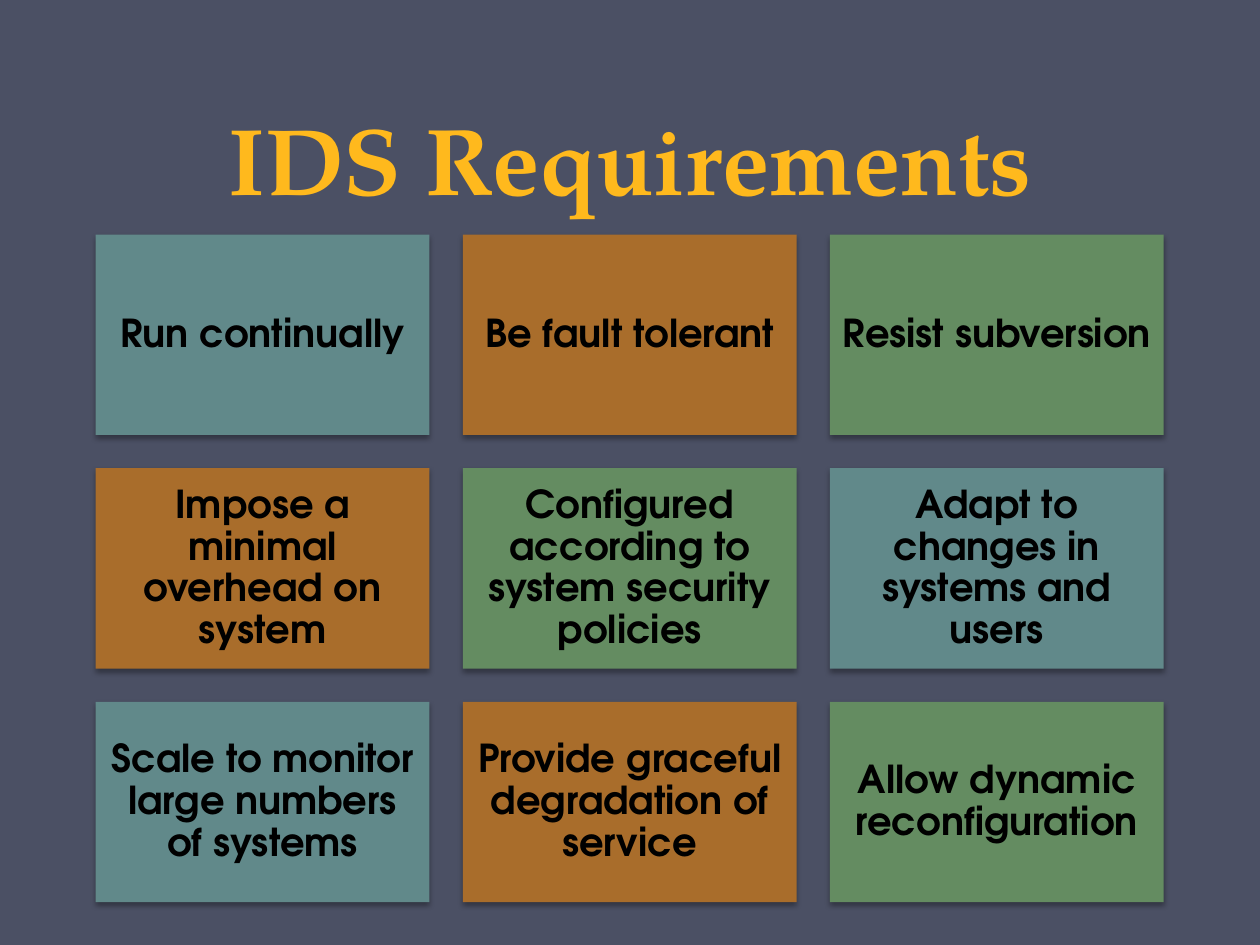
from lxml.etree import SubElement
from pptx import Presentation
from pptx.dml.color import RGBColor
from pptx.enum.shapes import MSO_SHAPE
from pptx.enum.text import MSO_ANCHOR, MSO_AUTO_SIZE, PP_ALIGN
from pptx.oxml.ns import qn
from pptx.util import Cm, Pt

HUES = {"back": "4B5064", "gold": "FFB91D", "teal": "61898A",
        "rust": "A96D2B", "green": "648C61", "black": "000000"}

# Requirements, row by row
ROWS = [
    [("Run continually", "teal"),
     ("Be fault tolerant", "rust"),
     ("Resist subversion", "green")],
    [("Impose a minimal overhead on system", "rust"),
     ("Configured according to system security policies", "green"),
     ("Adapt to changes in systems and users", "teal")],
    [("Scale to monitor large numbers of systems", "teal"),
     ("Provide graceful degradation of service", "rust"),
     ("Allow dynamic reconfiguration", "green")],
]

# Text formats
HEAD = {"name": "TeX Gyre Pagella", "size": Pt(54), "bold": True}
BODY = {"name": "TeX Gyre Adventor", "size": Pt(22), "bold": True}
FRAME = {"word_wrap": True, "auto_size": MSO_AUTO_SIZE.NONE}
PAD = {side: Cm(0.23) for side in
       ("margin_left", "margin_top", "margin_right", "margin_bottom")}


def write(shape, text, font, hue, frame, line):
    for key, val in frame.items():
        setattr(shape.text_frame, key, val)
    para = shape.text_frame.paragraphs[0]
    para.alignment = PP_ALIGN.CENTER
    para.line_spacing = line
    run = para.add_run()
    run.text = text
    for key, val in font.items():
        setattr(run.font, key, val)
    run.font.color.rgb = RGBColor.from_string(HUES[hue])


def shade(shape):
    shape.shadow.inherit = False
    glow = SubElement(shape.element.spPr.find(qn("a:effectLst")),
                      qn("a:outerShdw"), blurRad=str(Pt(3.1)),
                      dist=str(Pt(1.8)), dir="5400000", rotWithShape="0")
    tint = SubElement(glow, qn("a:srgbClr"), val=HUES["black"])
    SubElement(tint, qn("a:alpha"), val="35000")


# Slide and background
deck = Presentation()
deck.slide_width, deck.slide_height = Cm(25.4), Cm(19.05)
slide = deck.slides.add_slide(deck.slide_layouts[5])
slide.background.fill.solid()
slide.background.fill.fore_color.rgb = RGBColor.from_string(HUES["back"])

# Title
title = slide.shapes.title
spot = {"left": Cm(1.27), "top": Cm(0), "width": Cm(22.86), "height": Cm(4.45)}
for key, val in spot.items():
    setattr(title, key, val)
write(title, "IDS Requirements", HEAD, "gold",
      {**FRAME, "vertical_anchor": MSO_ANCHOR.BOTTOM}, Pt(58))

# Grid of requirement tiles
wide, high, gap = 6.73, 4.04, 0.67
left, top = 1.93, 4.73
for r, row in enumerate(ROWS):
    for c, (text, hue) in enumerate(row):
        tile = slide.shapes.add_shape(
            MSO_SHAPE.RECTANGLE,
            Cm(left + c * (wide + gap)), Cm(top + r * (high + gap)),
            Cm(wide), Cm(high))
        tile.fill.solid()
        tile.fill.fore_color.rgb = RGBColor.from_string(HUES[hue])
        tile.line.fill.background()
        shade(tile)
        write(tile, text, BODY, "black",
              {**FRAME, **PAD, "vertical_anchor": MSO_ANCHOR.MIDDLE}, 0.9)

deck.save("out.pptx")
